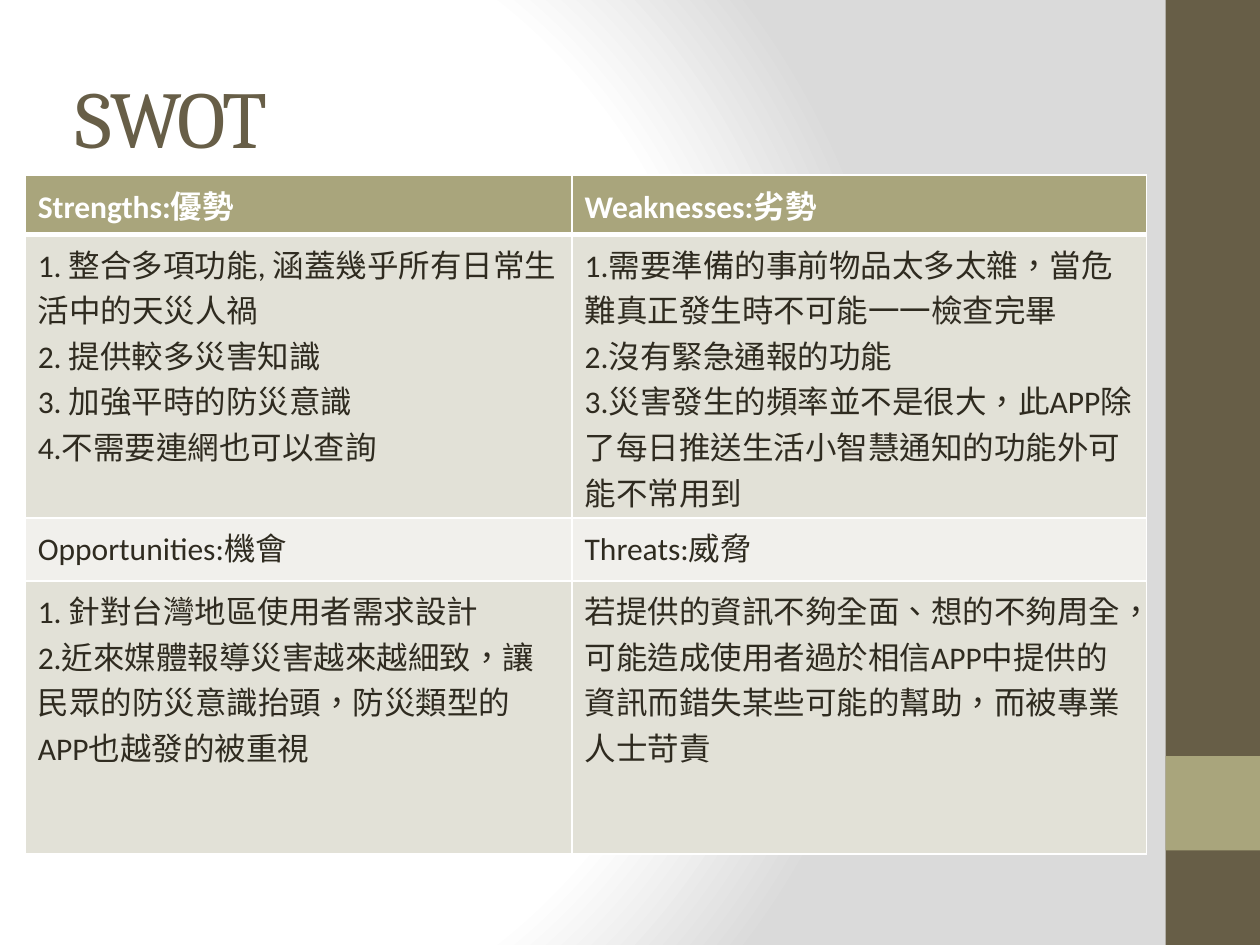
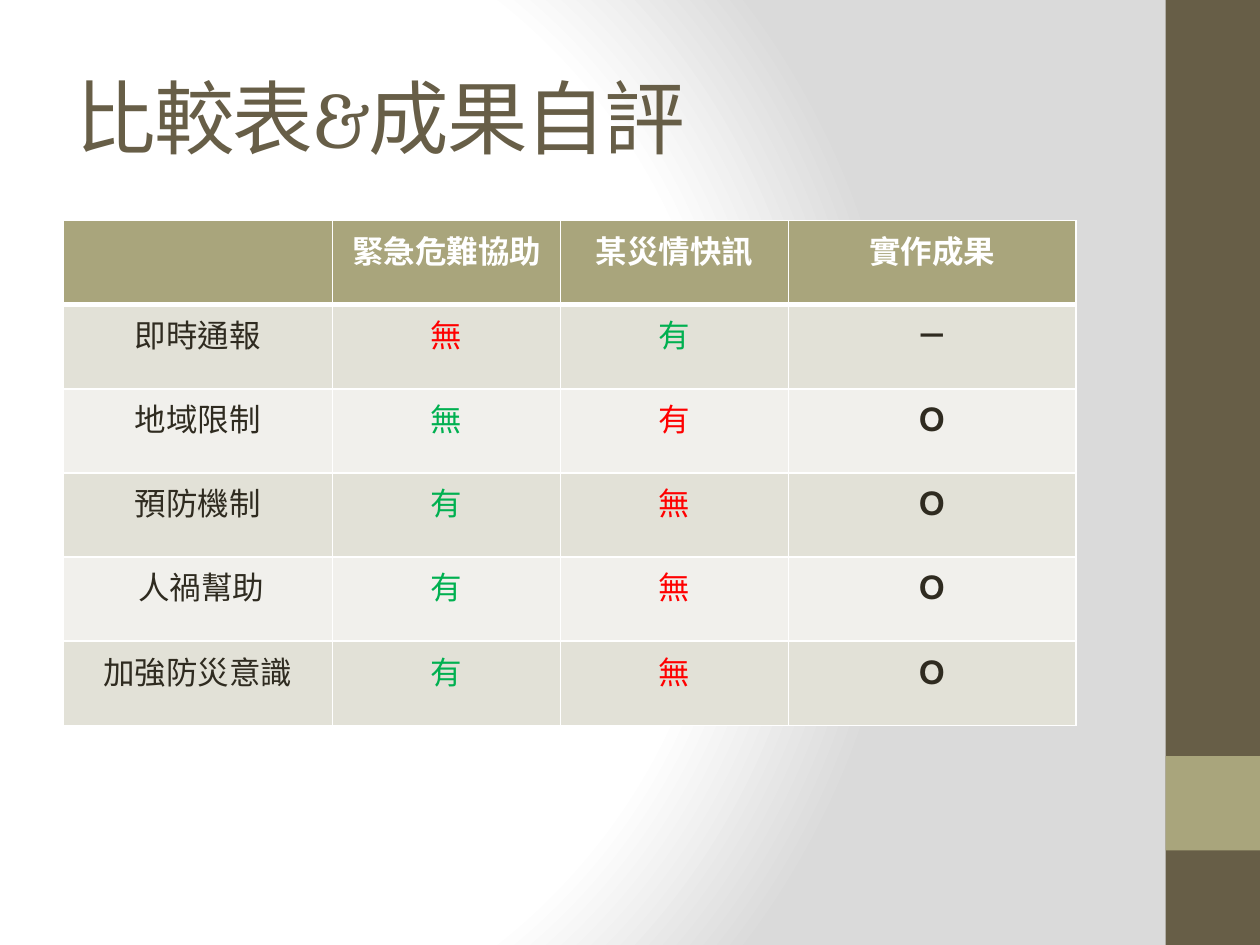
from dataclasses import dataclass

from lxml import etree
from pptx import Presentation
from pptx.dml.color import RGBColor
from pptx.enum import shapes, text
from pptx.oxml import parse_xml
from pptx.oxml import ns
from pptx.util import Pt


@dataclass(frozen=True)
class Theme:
    dark: str = "675E47"
    accent: str = "A9A57C"
    ink: str = "2F2B20"
    white: str = "FFFFFF"
    shade: str = "DADADA"
    row_dark: str = "E2E1D7"
    row_light: str = "F1F0EC"
    good: str = "00B050"
    bad: str = "FF0000"
    title_font: str = "Cambria"
    body_font: str = "Calibri"
    title_size: float = 46
    body_size: float = 18
    border: float = 1
    header_border: float = 3


THEME = Theme()
SLIDE_WIDTH, SLIDE_HEIGHT = 720, 540
BAND_WIDTH = 54
BANDS = [(0, SLIDE_HEIGHT, THEME.dark), (432, BAND_WIDTH, THEME.accent)]
TITLE_BOX = (36, 21.6, 600, 90)

# A cell is a list of paragraphs.
SWOT = {
    "title": "SWOT",
    "at": (14.4, 100.1),
    "columns": [312.5, 328.3],
    "rows": [33.8, 162, 36, 156.2],
    "align": text.PP_ALIGN.LEFT,
    "cells": [
        [["Strengths:優勢"], ["Weaknesses:劣勢"]],
        [
            [
                "1. 整合多項功能, 涵蓋幾乎所有日常生活中的天災人禍",
                "2. 提供較多災害知識",
                "3. 加強平時的防災意識",
                "4.不需要連網也可以查詢",
            ],
            [
                "1.需要準備的事前物品太多太雜，當危難真正發生時不可能一一檢查完畢",
                "2.沒有緊急通報的功能",
                "3.災害發生的頻率並不是很大，此APP除了每日推送生活小智慧通知的功能外可能不常用到",
            ],
        ],
        [["Opportunities:機會"], ["Threats:威脅"]],
        [
            [
                "1. 針對台灣地區使用者需求設計",
                "2.近來媒體報導災害越來越細致，讓民眾的防災意識抬頭，防災類型的APP也越發的被重視",
            ],
            ["若提供的資訊不夠全面、想的不夠周全，可能造成使用者過於相信APP中提供的資訊"
             "而錯失某些可能的幫助，而被專業人士苛責"],
        ],
    ],
}

# Feature, first app, second app, own result, and whether the first app does better.
FEATURES = [
    ("即時通報", "無", "有", "－", False),
    ("地域限制", "無", "有", "Ｏ", True),
    ("預防機制", "有", "無", "Ｏ", True),
    (" 人禍幫助", "有", "無", "Ｏ", True),
    ("加強防災意識", "有", "無", "Ｏ", True),
]
COMPARISON = {
    "title": "比較表&成果自評",
    "at": (36, 126),
    "columns": [154.1, 130.3, 130.3, 164.2],
    "rows": [48.1] * (len(FEATURES) + 1),
    "align": text.PP_ALIGN.CENTER,
    "cells": [[[], ["緊急危難協助"], ["某災情快訊"], ["實作成果"]]]
    + [[[value] for value in feature[:4]] for feature in FEATURES],
}


def color(value):
    return RGBColor.from_string(value)


def add_run(paragraph, words, font, size, ink, bold=False, spacing=0):
    run = paragraph.add_run()
    run.text = words
    run.font.name = font
    run.font.size = Pt(size)
    run.font.bold = bold
    run.font.color.rgb = color(ink)
    properties = run._r.get_or_add_rPr()
    properties.set("lang", "zh-TW")
    if spacing:
        properties.set("spc", str(spacing * 100))


def set_background(slide):
    """Radial fade from white to the grey shade."""
    fill = slide.background.fill
    fill.gradient()
    stops = "".join(
        f'<a:gs pos="{place * 1000}"><a:srgbClr val="{value}"/></a:gs>'
        for place, value in [(0, THEME.white), (75, THEME.white), (100, THEME.shade)]
    )
    gradient = parse_xml(
        f'<a:gradFill {ns.nsdecls("a")} rotWithShape="1"><a:gsLst>{stops}</a:gsLst>'
        '<a:path path="circle"><a:fillToRect l="20000" t="50000" r="100000" b="50000"/>'
        "</a:path></a:gradFill>"
    )
    current = slide._element.find(".//" + ns.qn("a:gradFill"))
    current.getparent().replace(current, gradient)


def add_base_slide(presentation, title):
    slide = presentation.slides.add_slide(presentation.slide_layouts[6])
    set_background(slide)
    for top, height, fill in BANDS:
        band = slide.shapes.add_shape(
            shapes.MSO_SHAPE.RECTANGLE,
            Pt(SLIDE_WIDTH - BAND_WIDTH), Pt(top), Pt(BAND_WIDTH), Pt(height),
        )
        band.shadow.inherit = False
        band.fill.solid()
        band.fill.fore_color.rgb = color(fill)
        band.line.fill.background()
    frame = slide.shapes.add_textbox(*map(Pt, TITLE_BOX)).text_frame
    frame.word_wrap = True
    frame.vertical_anchor = text.MSO_ANCHOR.MIDDLE
    add_run(frame.paragraphs[0], title, THEME.title_font, THEME.title_size,
            THEME.dark, spacing=-1)
    return slide


def set_borders(cell, row):
    top = THEME.header_border if row == 1 else THEME.border
    bottom = THEME.header_border if row == 0 else THEME.border
    properties = cell._tc.get_or_add_tcPr()
    for side, width in zip("LRTB", (THEME.border, THEME.border, top, bottom)):
        line = etree.SubElement(properties, ns.qn(f"a:ln{side}"), w=str(Pt(width)))
        fill = etree.SubElement(line, ns.qn("a:solidFill"))
        etree.SubElement(fill, ns.qn("a:srgbClr"), val=THEME.white)


def row_fill(row):
    if row == 0:
        return THEME.accent
    return THEME.row_dark if row % 2 else THEME.row_light


def add_table(slide, content, style_of):
    """style_of(row, column) gives the ink and the weight of a cell."""
    columns, rows = content["columns"], content["rows"]
    table = slide.shapes.add_table(
        len(rows), len(columns), *map(Pt, content["at"]), Pt(sum(columns)), Pt(sum(rows))
    ).table
    for column, width in zip(table.columns, columns):
        column.width = Pt(width)
    for row, height in zip(table.rows, rows):
        row.height = Pt(height)
    for row, cells in enumerate(content["cells"]):
        for column, lines in enumerate(cells):
            cell = table.cell(row, column)
            set_borders(cell, row)
            cell.fill.solid()
            cell.fill.fore_color.rgb = color(row_fill(row))
            ink, bold = style_of(row, column)
            frame = cell.text_frame
            for index, words in enumerate(lines):
                paragraph = frame.add_paragraph() if index else frame.paragraphs[0]
                paragraph.alignment = content["align"]
                add_run(paragraph, words, THEME.body_font, THEME.body_size, ink, bold)


def swot_style(row, column):
    return (THEME.ink, False) if row else (THEME.white, True)


def comparison_style(row, column):
    if row == 0:
        return THEME.white, True
    if column in (1, 2):
        first_is_better = FEATURES[row - 1][-1]
        return (THEME.good if (column == 1) == first_is_better else THEME.bad), False
    return THEME.ink, row == 1 and column == 3 or column == 3


def main():
    presentation = Presentation()
    presentation.slide_width = Pt(SLIDE_WIDTH)
    presentation.slide_height = Pt(SLIDE_HEIGHT)
    for content, style_of in [(SWOT, swot_style), (COMPARISON, comparison_style)]:
        slide = add_base_slide(presentation, content["title"])
        add_table(slide, content, style_of)
    presentation.save("out.pptx")


if __name__ == "__main__":
    main()
